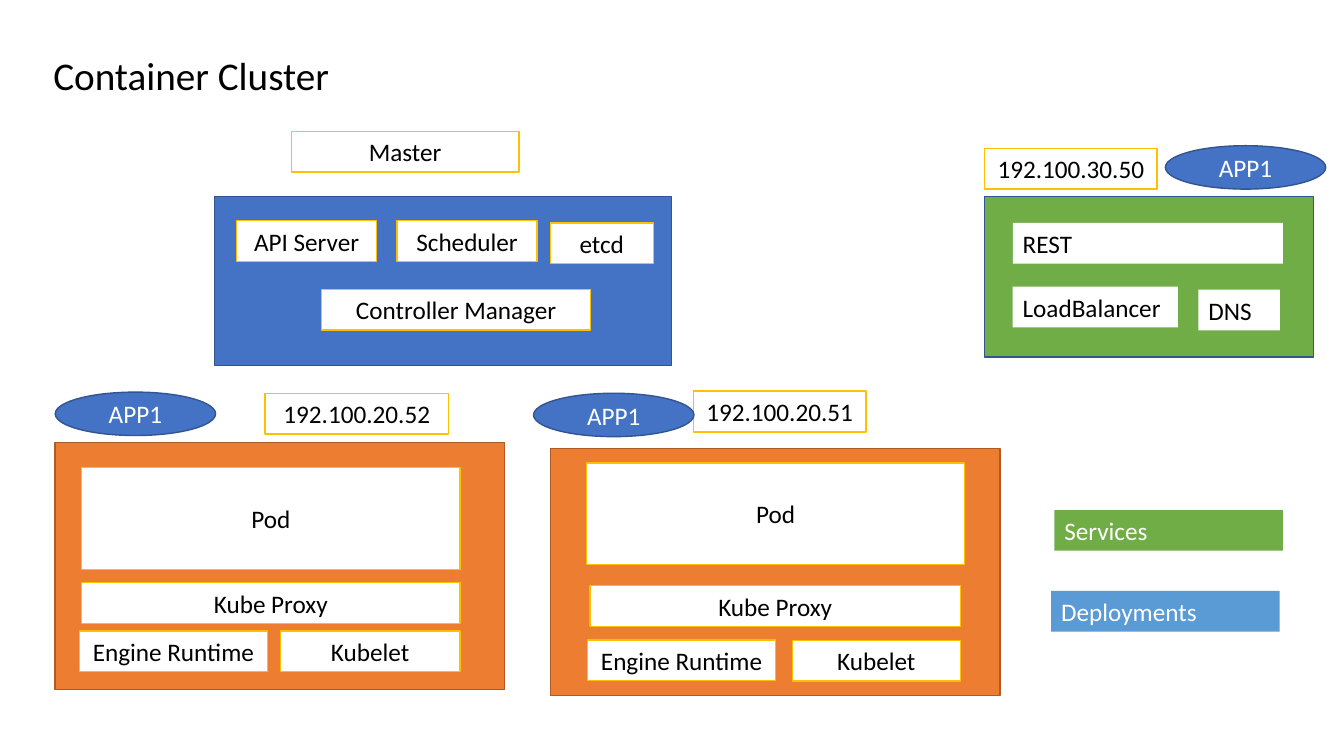
from pptx import Presentation
from pptx.dml.color import RGBColor
from pptx.enum.shapes import MSO_SHAPE as Kind
from pptx.enum.text import MSO_ANCHOR as Anchor, PP_ALIGN as Align
from pptx.util import Pt

WHITE = RGBColor(0xFF, 0xFF, 0xFF)
BLACK = RGBColor(0x00, 0x00, 0x00)
BLUE = RGBColor(0x44, 0x72, 0xC4)
NAVY = RGBColor(0x32, 0x54, 0x91)
GOLD = RGBColor(0xFF, 0xC0, 0x00)
ORANGE = RGBColor(0xED, 0x7D, 0x31)
BROWN = RGBColor(0xAF, 0x5C, 0x24)
GREEN = RGBColor(0x70, 0xAD, 0x47)
SKY = RGBColor(0x5B, 0x9B, 0xD5)

ROW = 29.1  # height of a one-line box


def write(shape, text, color, align=Align.CENTER, size=18):
    frame = shape.text_frame
    frame.word_wrap = True
    frame.vertical_anchor = Anchor.MIDDLE
    para = frame.paragraphs[0]
    para.alignment = align
    run = para.add_run()
    run.text = text
    run.font.name = "Calibri"
    run.font.size = Pt(size)
    run.font.color.rgb = color


def draw(shapes, box, fill, line=None, kind=Kind.RECTANGLE):
    shape = shapes.add_shape(kind, *map(Pt, box))
    shape.shadow.inherit = False
    shape.fill.solid()
    shape.fill.fore_color.rgb = fill
    if line is None:
        shape.line.fill.background()
    else:
        shape.line.color.rgb = line
        shape.line.width = Pt(1)
    return shape


def label(shapes, text, left, top, width, height=ROW):
    """White box with a gold edge and centred text."""
    write(draw(shapes, (left, top, width, height), WHITE, GOLD), text, BLACK)


def strip(shapes, text, left, top, width, fill=WHITE, color=BLACK):
    """Box without an edge, its text at the left."""
    write(draw(shapes, (left, top, width, ROW), fill), text, color, Align.LEFT)


def app(shapes, left, top):
    oval = draw(shapes, (left, top, 114.6, 31), BLUE, NAVY, Kind.OVAL)
    write(oval, "APP1", WHITE)


def panel(shapes, box, fill, line, parts):
    """Group of a coloured panel and the labels on it."""
    group = shapes.add_group_shape().shapes
    draw(group, box, fill, line)
    for part in parts:
        label(group, *part)


def title(shapes, text):
    box = shapes.add_textbox(Pt(31), Pt(20.2), Pt(268.6), Pt(71.3))
    write(box, text, BLACK, Align.LEFT, 28)
    box.text_frame.paragraphs[0].line_spacing = 0.9


def master(shapes):
    panel(shapes, (153.4, 140.5, 326.4, 120.4), BLUE, NAVY, [
        ("API Server", 169, 157.7, 100.1),
        ("Scheduler", 283.6, 157.7, 100.1),
        ("Controller Manager", 229.7, 206.6, 192.3),
    ])
    label(shapes, "etcd", 393.1, 159.2, 73.5)
    label(shapes, "Master", 208, 93.8, 162.8)


def nodes(shapes):
    label(shapes, "192.100.20.52", 189.4, 281, 131)
    label(shapes, "192.100.20.51", 495.4, 279.4, 123.1)
    panel(shapes, (39.4, 316.1, 321.1, 176.4), ORANGE, BROWN, [
        ("Engine Runtime", 56.6, 450.7, 134.6),
        ("Kubelet", 200.2, 450.7, 128.4),
        ("Kube Proxy", 58.4, 416.2, 270.2),
        ("Pod", 58.4, 334.1, 270.2, 72.7),
    ])
    panel(shapes, (393.1, 320.5, 321.1, 176.4), ORANGE, BROWN, [
        ("Kube Proxy", 421.4, 418.3, 264.8),
        ("Kubelet", 565.9, 457.4, 120.2),
        ("Pod", 418.9, 330.6, 270.2, 72.7),
        ("Engine Runtime", 419.6, 457.2, 134.6),
    ])


def services(shapes):
    draw(shapes, (703.4, 140.5, 234.7, 114.5), GREEN, NAVY)
    strip(shapes, "REST", 723.4, 159.2, 193)
    strip(shapes, "LoadBalancer", 723.4, 204.8, 118.1)
    strip(shapes, "DNS", 856, 206.9, 58.3)
    label(shapes, "192.100.30.50", 703.4, 106, 123.1)


def legend(shapes):
    strip(shapes, "Deployments", 750.9, 422.1, 163.2, SKY, WHITE)
    strip(shapes, "Services", 753.1, 364.3, 163.2, GREEN, WHITE)


def main():
    deck = Presentation()
    deck.slide_width, deck.slide_height = Pt(960), Pt(540)
    shapes = deck.slides.add_slide(deck.slide_layouts[6]).shapes
    title(shapes, "Container Cluster")
    master(shapes)
    nodes(shapes)
    legend(shapes)
    services(shapes)
    for left, top in [(39.4, 280.1), (381.1, 280.9), (832.4, 104.1)]:
        app(shapes, left, top)
    deck.save("out.pptx")


if __name__ == "__main__":
    main()
